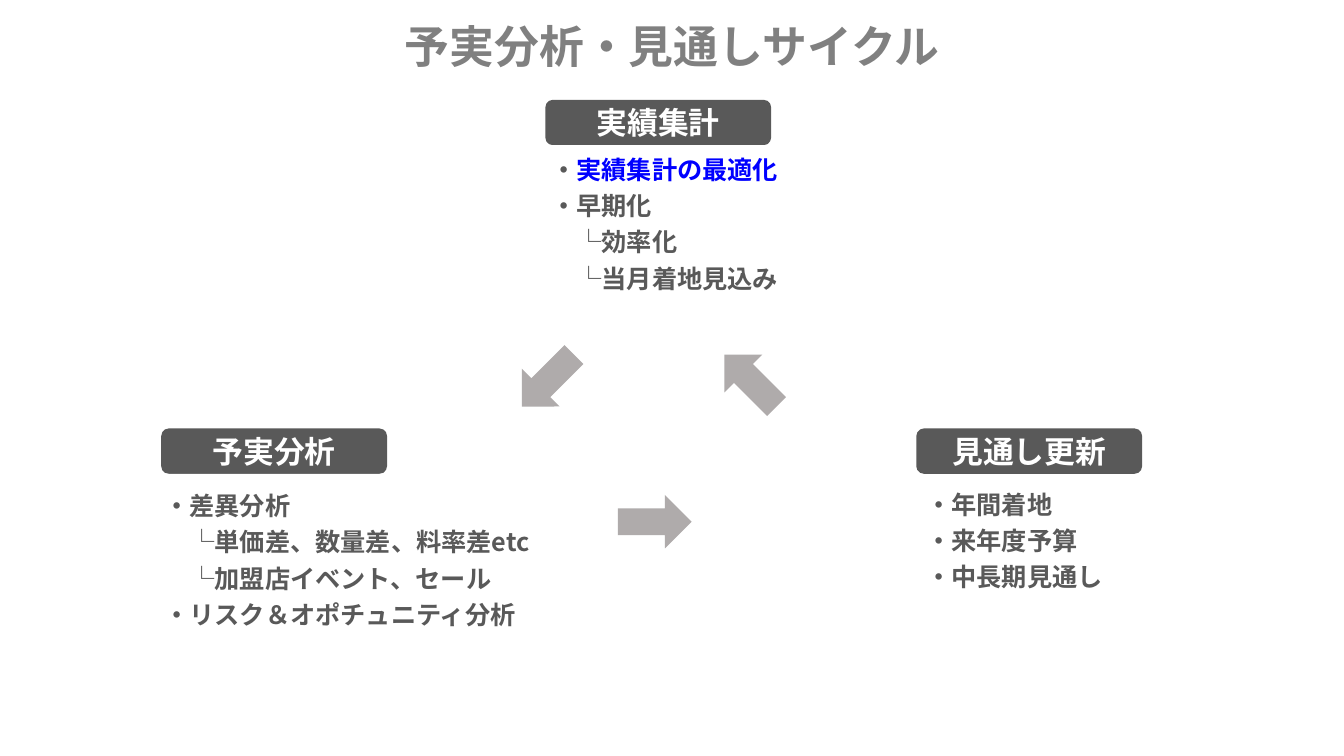
from lxml.etree import SubElement
from pptx import Presentation
from pptx.dml.color import RGBColor
from pptx.enum.lang import MSO_LANGUAGE_ID as Language
from pptx.enum.shapes import MSO_SHAPE as Shape
from pptx.enum.text import MSO_ANCHOR as Anchor, PP_ALIGN as Align
from pptx.oxml.ns import qn
from pptx.util import Inches, Pt

COLORS = {
    "title": "808080",
    "dark": "595959",
    "accent": "0000FF",
    "arrow": "AFABAB",
    "white": "FFFFFF",
}
FONT = "Noto Sans CJK JP"
HEADER_SIZE = (16.8, 6)
ARROW_SIZE = (5.48, 7.07)


class CycleSlide:
    """Draws the cycle slide on a grid of 100 columns by 100 rows."""

    def __init__(self, deck):
        self.page = deck.slides.add_slide(deck.slide_layouts[6])
        self.column = deck.slide_width / 100
        self.row = deck.slide_height / 100

    def place(self, left, top, width, height):
        return (round(left * self.column), round(top * self.row),
                round(width * self.column), round(height * self.row))

    def add_lines(self, box, lines, size, align, spacing):
        frame = box.text_frame
        frame.word_wrap = True
        frame.vertical_anchor = Anchor.MIDDLE
        for index, line in enumerate(lines):
            para = frame.paragraphs[0] if index == 0 else frame.add_paragraph()
            para.alignment = align
            para.line_spacing = spacing
            for text, color in line:
                span = para.add_run()
                span.text = text
                font = span.font
                font.name, font.size, font.bold = FONT, Pt(size), True
                font.language_id = Language.JAPANESE
                font.color.rgb = RGBColor.from_string(COLORS[color])
                SubElement(font._element, qn("a:ea"), typeface=FONT)

    def title(self, text, area):
        box = self.page.shapes.add_textbox(*self.place(*area))
        self.add_lines(box, [[(text, "title")]], 32, Align.CENTER, 0.9)

    def shape(self, parent, kind, area, color):
        box = parent.shapes.add_shape(kind, *self.place(*area))
        box.shadow.inherit = False
        box.fill.solid()
        box.fill.fore_color.rgb = RGBColor.from_string(COLORS[color])
        box.line.fill.background()
        return box

    def card(self, heading, corner, lines, body_area):
        group = self.page.shapes.add_group_shape()
        header = self.shape(group, Shape.ROUNDED_RECTANGLE, (*corner, *HEADER_SIZE), "dark")
        self.add_lines(header, [[(heading, "white")]], 22, Align.CENTER, 1.0)
        body = self.shape(group, Shape.RECTANGLE, body_area, "white")
        self.add_lines(body, lines, 18, Align.LEFT, 1.2)

    def arrow(self, corner, rotation):
        arrow = self.shape(self.page, Shape.RIGHT_ARROW, (*corner, *ARROW_SIZE), "arrow")
        arrow.rotation = rotation


def dark_lines(*texts):
    return [[(text, "dark")] for text in texts]


def main():
    deck = Presentation()
    deck.slide_width, deck.slide_height = Inches(13.33), Inches(7.5)
    slide = CycleSlide(deck)
    slide.title("予実分析・見通しサイクル", (6.9, 2.4, 86.25, 8.13))

    actuals = [[("・", "dark"), ("実績集計の最適化", "accent")]]
    actuals += dark_lines("・早期化", "　└効率化", "　└当月着地見込み")
    variance = dark_lines("・差異分析", "　└単価差、数量差、料率差etc",
                          "　└加盟店イベント、セール", "・リスク＆オポチュニティ分析")
    outlook = dark_lines("・年間着地", "・来年度予算", "・中長期見通し")

    slide.card("実績集計", (40.58, 13.2), actuals, (40.28, 19.2, 19.5, 20))
    slide.card("予実分析", (12, 56.67), variance, (11.48, 62.67, 28.8, 22))
    slide.card("見通し更新", (68.18, 56.67), outlook, (68.18, 62.8, 16.13, 16.53))

    for corner, rotation in (((38.03, 46.8), 135), ((53.1, 46.8), 225), ((45.98, 65.47), 0)):
        slide.arrow(corner, rotation)
    deck.save("out.pptx")


if __name__ == "__main__":
    main()
